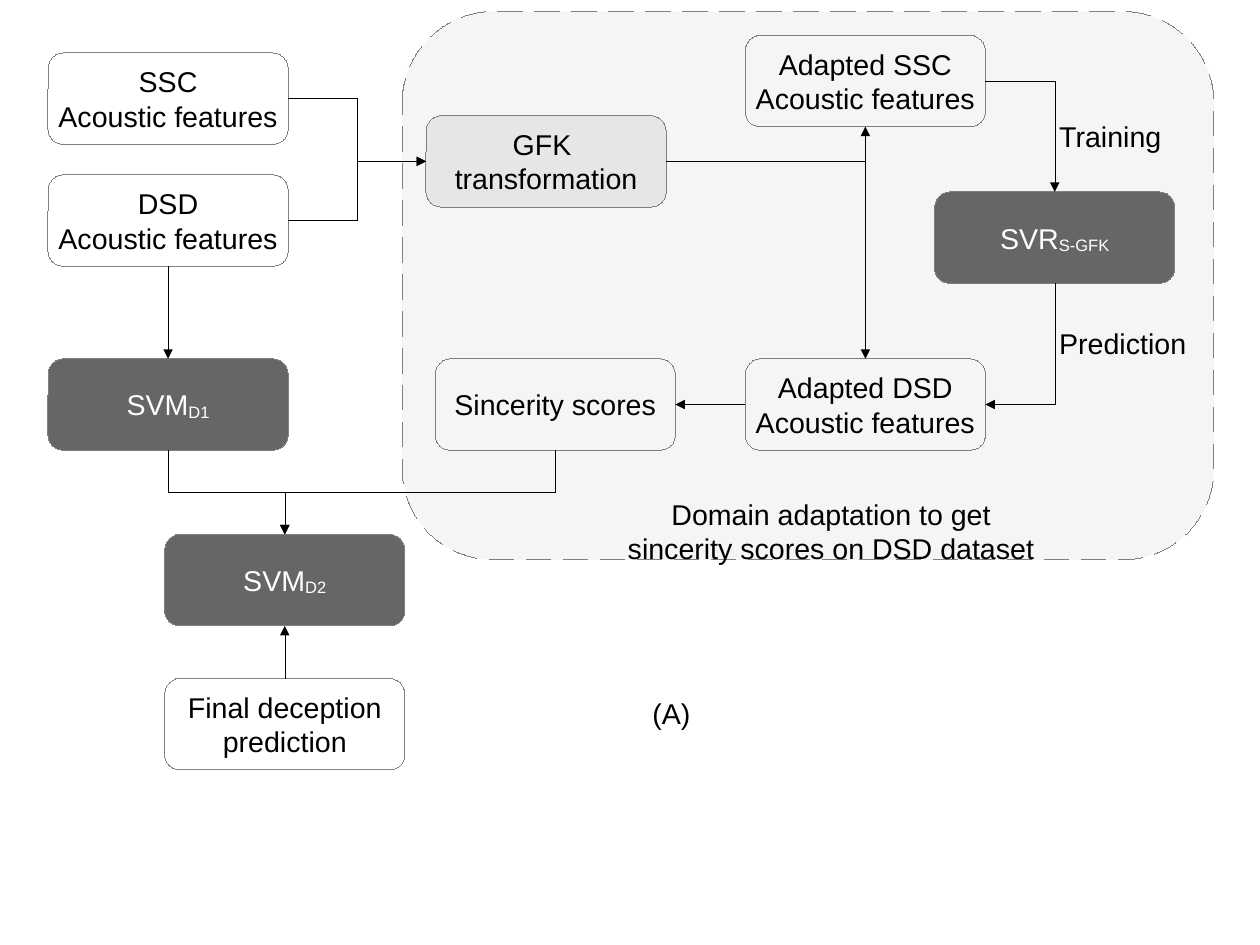
import dataclasses
import typing

import lxml.etree
import pptx
import pptx.dml.color
import pptx.enum.dml
import pptx.enum.shapes
import pptx.enum.text
import pptx.oxml.ns
import pptx.util

SHAPE = pptx.enum.shapes.MSO_SHAPE
CONNECTOR = pptx.enum.shapes.MSO_CONNECTOR
ALIGN = pptx.enum.text.PP_ALIGN
qn = pptx.oxml.ns.qn

SLIDE_W, SLIDE_H = pptx.util.Cm(28), pptx.util.Cm(21)
TOP, LEFT, BOTTOM, RIGHT = range(4)

# Columns and box width are percent of slide width; rows and box height of slide height
COL = dict(input=3.81, final=13.07, gfk=33.81, scores=34.54, adapted=59.15, svr=74.18)
ROW = dict(adapted=3.74, ssc=5.6, gfk=12.24, dsd=18.5, svr=20.31,
           models=37.97, fusion=56.56, final=71.8)
BOX_W, BOX_H = 19.06, 9.67
ROUTE_LABEL_X, LABEL_H = 83.17, 4.59


@dataclasses.dataclass(frozen=True)
class Theme:
    font: str = "Arial"
    size: int = 18
    ink: str = "000000"
    inverse: str = "FFFFFF"
    outline: str = "808080"
    light: str = "E6E6E6"
    dark: str = "666666"
    panel_alpha: int = 40
    subscript: int = -8


@dataclasses.dataclass(frozen=True)
class Box:
    name: str
    col: str
    row: str
    lines: tuple[str, ...]
    sub: str = ""
    fill: str | None = None


@dataclasses.dataclass(frozen=True)
class Label:
    text: str
    x: float
    y: float
    w: float
    h: float = LABEL_H
    align: ALIGN = ALIGN.LEFT


@dataclasses.dataclass(frozen=True)
class Arrow:
    start: str
    start_side: int
    end: str
    end_side: int
    elbow: bool = True


THEME = Theme()
FEATURES = "Acoustic features"
BOXES = [
    Box("ssc", "input", "ssc", ("SSC", FEATURES)),
    Box("dsd", "input", "dsd", ("DSD", FEATURES)),
    Box("svm1", "input", "models", ("SVM",), "D1", THEME.dark),
    Box("gfk", "gfk", "gfk", ("GFK ", "transformation"), fill=THEME.light),
    Box("adapted_ssc", "adapted", "adapted", ("Adapted SSC", FEATURES)),
    Box("adapted_dsd", "adapted", "models", ("Adapted DSD", FEATURES)),
    Box("svr", "svr", "svr", ("SVR",), "S-GFK", THEME.dark),
    Box("scores", "scores", "models", ("Sincerity scores",)),
    Box("svm2", "final", "fusion", ("SVM",), "D2", THEME.dark),
    Box("final", "final", "final", ("Final deception", "prediction")),
]
ARROWS = [
    Arrow("dsd", BOTTOM, "svm1", TOP, elbow=False),
    Arrow("dsd", RIGHT, "gfk", LEFT),
    Arrow("ssc", RIGHT, "gfk", LEFT),
    Arrow("gfk", RIGHT, "adapted_dsd", TOP),
    Arrow("gfk", RIGHT, "adapted_ssc", BOTTOM),
    Arrow("adapted_ssc", RIGHT, "svr", TOP),
    Arrow("svr", BOTTOM, "adapted_dsd", RIGHT),
    Arrow("adapted_dsd", LEFT, "scores", RIGHT, elbow=False),
    Arrow("svm1", BOTTOM, "svm2", TOP),
    Arrow("scores", BOTTOM, "svm2", TOP),
    Arrow("final", TOP, "svm2", BOTTOM, elbow=False),
]
LABELS = [
    Label("Training", ROUTE_LABEL_X, 11.97, 10.89),
    Label("Prediction", ROUTE_LABEL_X, 33.86, 12.25),
    Label("Domain adaptation to get sincerity scores on DSD dataset",
          48.26, 51.95, 35.39, 7.98, ALIGN.CENTER),
    Label("(A)", 50.89, 73, 6.35),
]


def rgb(value: str) -> pptx.dml.color.RGBColor:
    return pptx.dml.color.RGBColor.from_string(value)


def area(x: float, y: float, w: float, h: float) -> tuple[int, int, int, int]:
    """Turn percentages of the slide into a position and size."""
    return (round(SLIDE_W * x / 100), round(SLIDE_H * y / 100),
            round(SLIDE_W * w / 100), round(SLIDE_H * h / 100))


def hairline(sp: typing.Any, color: str) -> typing.Any:
    """Give the thinnest line and return its a:ln element."""
    sp.line.color.rgb = rgb(color)
    ln = sp.element.spPr.find(qn("a:ln"))
    ln.set("w", "0")
    return ln


def add_run(p: typing.Any, text: str, color: str, baseline: int = 0) -> None:
    r = p.add_run()
    r.text = text
    r.font.name, r.font.size = THEME.font, pptx.util.Pt(THEME.size)
    r.font.color.rgb = rgb(color)
    if baseline:
        r.font._element.set("baseline", str(baseline * 1000))


def add_rounded(s: typing.Any, place: tuple[int, int, int, int],
                fill: str | None) -> typing.Any:
    sp = s.shapes.add_shape(SHAPE.ROUNDED_RECTANGLE, *place)
    sp.shadow.inherit = False
    if fill:
        sp.fill.solid()
        sp.fill.fore_color.rgb = rgb(fill)
    else:
        sp.fill.background()
    return sp


def add_panel(s: typing.Any) -> None:
    sp = add_rounded(s, area(31.92, 1.21, 64.43, 58.04), THEME.light)
    color = sp.element.spPr.find(qn("a:solidFill"))[0]
    lxml.etree.SubElement(color, qn("a:alpha"), val=str(THEME.panel_alpha * 1000))
    dash = lxml.etree.SubElement(hairline(sp, THEME.outline), qn("a:custDash"))
    lxml.etree.SubElement(dash, qn("a:ds"), d="2000000", sp="1050000")


def add_box(s: typing.Any, box: Box) -> typing.Any:
    sp = add_rounded(s, area(COL[box.col], ROW[box.row], BOX_W, BOX_H), box.fill)
    hairline(sp, THEME.outline)
    tf = sp.text_frame
    tf.word_wrap = False
    tf.vertical_anchor = pptx.enum.text.MSO_ANCHOR.MIDDLE
    color = THEME.inverse if box.fill == THEME.dark else THEME.ink
    for i, line in enumerate(box.lines):
        p = tf.add_paragraph() if i else tf.paragraphs[0]
        p.alignment = ALIGN.CENTER
        add_run(p, line, color)
    if box.sub:
        add_run(p, box.sub, color, THEME.subscript)
    return sp


def bend(c: typing.Any, arrow: Arrow) -> None:
    """Choose one or two bends, and turn routes that leave downwards."""
    same_axis = arrow.start_side % 2 == arrow.end_side % 2
    geometry = c.element.spPr.find(qn("a:prstGeom"))
    geometry.set("prst", "bentConnector3" if same_axis else "bentConnector2")
    if arrow.start_side == BOTTOM:
        to_right = c.end_x > c.begin_x
        mid_x, mid_y = c.left + c.width // 2, c.top + c.height // 2
        c.width, c.height = c.height, c.width
        c.left, c.top = mid_x - c.width // 2, mid_y - c.height // 2
        xfrm = c.element.spPr.find(qn("a:xfrm"))
        xfrm.set("rot", str((270 if to_right else 90) * 60000))
        xfrm.set("flipH", str(int(to_right)))
        xfrm.set("flipV", "0")


def add_arrow(s: typing.Any, arrow: Arrow, boxes: dict[str, typing.Any]) -> None:
    kind = CONNECTOR.ELBOW if arrow.elbow else CONNECTOR.STRAIGHT
    c = s.shapes.add_connector(kind, 0, 0, 0, 0)
    c.begin_connect(boxes[arrow.start], arrow.start_side)
    c.end_connect(boxes[arrow.end], arrow.end_side)
    if arrow.elbow:
        bend(c, arrow)
    lxml.etree.SubElement(hairline(c, THEME.ink), qn("a:tailEnd"), type="triangle")
    lxml.etree.SubElement(c.element.spPr, qn("a:effectLst"))


def add_label(s: typing.Any, label: Label) -> None:
    tf = s.shapes.add_textbox(*area(label.x, label.y, label.w, label.h)).text_frame
    tf.word_wrap = True
    tf.auto_size = pptx.enum.text.MSO_AUTO_SIZE.SHAPE_TO_FIT_TEXT
    p = tf.paragraphs[0]
    p.alignment = label.align
    add_run(p, label.text, THEME.ink)


def main() -> None:
    prs = pptx.Presentation()
    prs.slide_width, prs.slide_height = SLIDE_W, SLIDE_H
    s = prs.slides.add_slide(prs.slide_layouts[6])
    add_panel(s)
    boxes = {box.name: add_box(s, box) for box in BOXES}
    for arrow in ARROWS:
        add_arrow(s, arrow, boxes)
    for label in LABELS:
        add_label(s, label)
    prs.save("out.pptx")


if __name__ == "__main__":
    main()
